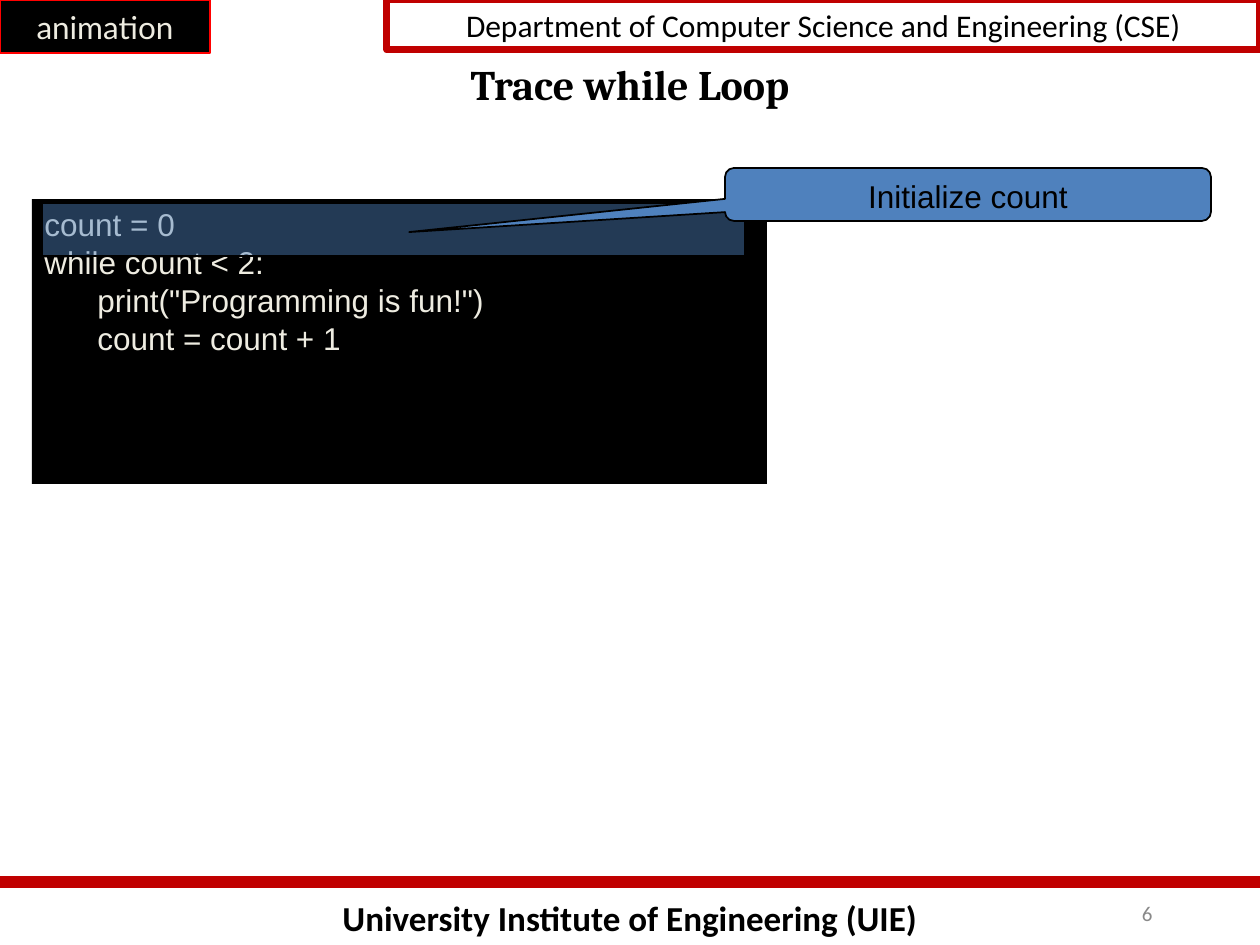
from dataclasses import dataclass

from lxml import etree
from pptx import Presentation
from pptx.dml.color import RGBColor
from pptx.enum.shapes import MSO_CONNECTOR, MSO_SHAPE
from pptx.enum.text import MSO_ANCHOR, PP_ALIGN
from pptx.oxml.ns import qn
from pptx.util import Pt

RECTANGLE = MSO_SHAPE.RECTANGLE
CALLOUT = MSO_SHAPE.ROUNDED_RECTANGULAR_CALLOUT
STRAIGHT = MSO_CONNECTOR.STRAIGHT
TOP, MIDDLE = MSO_ANCHOR.TOP, MSO_ANCHOR.MIDDLE
LEFT, CENTER, RIGHT = PP_ALIGN.LEFT, PP_ALIGN.CENTER, PP_ALIGN.RIGHT
EMU_PER_PX = 914400 / 126


@dataclass(frozen=True)
class Theme:
    """Colours, typefaces and type sizes of the deck."""
    black: str = "000000"
    cream: str = "EEECE1"
    grey: str = "898989"
    blue: str = "4F81BD"
    crimson: str = "C00000"
    red: str = "FF0000"
    banner_font: str = "Calibri"
    title_font: str = "Cambria"
    code_font: str = "Arial"
    tag_font: str = "Lato"
    title_size: int = 24
    footer_size: int = 20
    body_size: int = 18
    number_size: int = 12


THEME = Theme()


def px(length):
    """Turn pixels into EMU."""
    return round(length * EMU_PER_PX)


def write(shape, lines, font, size, color, align=LEFT, anchor=TOP, bold=False, wrap=True):
    """Fill a shape with (text, indent) lines in one style."""
    frame = shape.text_frame
    frame.word_wrap = wrap
    frame.vertical_anchor = anchor
    for index, (text, indent) in enumerate(lines):
        para = frame.paragraphs[0] if index == 0 else frame.add_paragraph()
        para.text = text
        para.alignment = align
        para.font.name = font
        para.font.size = Pt(size)
        para.font.bold = bold
        para.font.color.rgb = RGBColor.from_string(color)
        if indent:
            para._p.get_or_add_pPr().set("marL", str(px(indent)))


def add_box(page, kind, box, fill=None, line=None, weight=1):
    """Add a preset shape with flat fill and line."""
    shape = page.shapes.add_shape(kind, *map(px, box))
    shape.shadow.inherit = False
    if fill:
        shape.fill.solid()
        shape.fill.fore_color.rgb = RGBColor.from_string(fill)
    else:
        shape.fill.background()
    if line:
        shape.line.color.rgb = RGBColor.from_string(line)
        shape.line.width = Pt(weight)
    else:
        shape.line.fill.background()
    return shape


def add_label(page, box, text, *style, **options):
    """Add a text box holding one line."""
    label = page.shapes.add_textbox(*map(px, box))
    write(label, [(text, 0)], *style, **options)


def add_footer(page, box):
    """Place the rule, institute name and page number."""
    left, top, width, height = box
    rule = page.shapes.add_connector(STRAIGHT, px(left), px(top), px(left + width), px(top))
    rule.line.color.rgb = RGBColor.from_string(THEME.crimson)
    rule.line.width = Pt(7)
    etree.SubElement(rule._element.spPr, qn("a:effectLst"))
    add_label(page, (left, top + 8, width, height - 8),
              "University Institute of Engineering (UIE)",
              THEME.banner_font, THEME.footer_size, THEME.black, align=CENTER, bold=True)
    add_label(page, (left + 903, top, 262, height), "6",
              THEME.banner_font, THEME.number_size, THEME.grey, align=RIGHT, anchor=MIDDLE)


def add_header(page, box):
    """Place the department banner and slide title."""
    left, top, width, height = box
    banner = add_box(page, RECTANGLE, (left + 387, top, width - 387, 50),
                     line=THEME.crimson, weight=4)
    write(banner, [("Department of Computer Science and Engineering (CSE)", 0)],
          THEME.banner_font, THEME.body_size, THEME.black, align=CENTER)
    add_label(page, (left + 94, top + 32, width - 188, height - 32), "Trace while Loop",
              THEME.title_font, THEME.title_size, THEME.black,
              align=CENTER, anchor=MIDDLE, bold=True)


def add_trace(page, box):
    """Place the code panel, the highlighted line and its callout."""
    left, top, width, height = box
    panel = add_box(page, RECTANGLE, box, THEME.black)
    code = [("count = 0", 0), ("while count < 2:", 0),
            ('print("Programming is fun!")', 53), ("count = count + 1", 53)]
    write(panel, code, THEME.code_font, THEME.body_size, THEME.cream)

    highlight = add_box(page, RECTANGLE, (left + 10, top + 4, width - 32, 53),
                        THEME.blue, THEME.black)
    color = highlight._element.spPr.find(qn("a:solidFill"))[0]
    etree.SubElement(color, qn("a:alpha"), val="45000")

    callout = add_box(page, CALLOUT, (left + 693, top - 31, 486, 53), THEME.blue, THEME.black)
    for index, value in enumerate((-1.15, 0.71, 0.17)):
        callout.adjustments[index] = value
    write(callout, [("Initialize count", 0)],
          THEME.code_font, THEME.body_size, THEME.black, align=CENTER)


def add_tag(page, box):
    """Place the animation tag."""
    tag = add_box(page, RECTANGLE, box, THEME.black, THEME.red)
    write(tag, [("animation", 0)], THEME.tag_font, THEME.body_size, THEME.cream,
          align=CENTER, anchor=MIDDLE, wrap=False)


def main():
    """Build and save the deck."""
    deck = Presentation()
    deck.slide_width, deck.slide_height = px(1260), px(945)
    page = deck.slides.add_slide(deck.slide_layouts[6])
    add_footer(page, (0, 882, 1260, 63))
    add_header(page, (0, 0, 1260, 136))
    add_trace(page, (32, 199, 735, 285))
    add_tag(page, (0, 0, 210, 53))
    deck.save("out.pptx")


if __name__ == "__main__":
    main()
